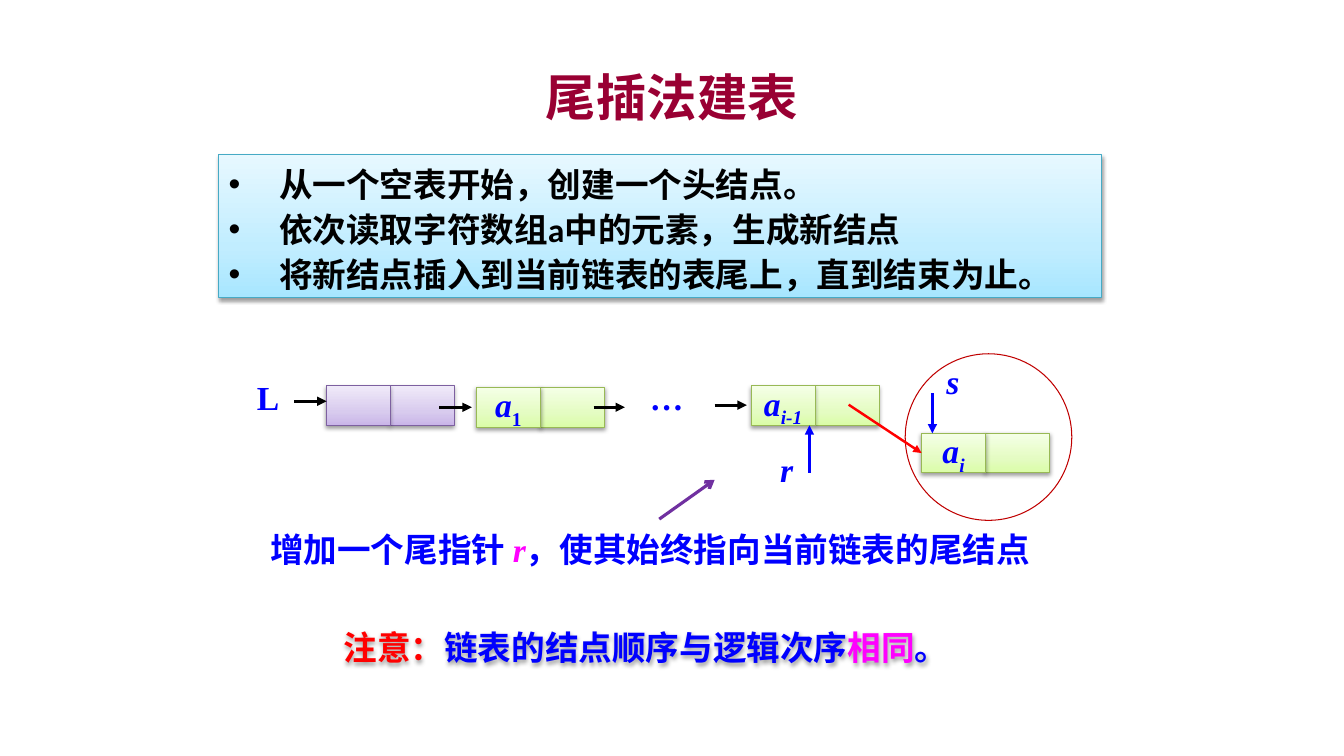
from lxml import etree
from pptx import Presentation
from pptx import util as u
from pptx.dml.color import RGBColor
from pptx.enum import shapes, text
from pptx.oxml.ns import qn

COLOURS = {
    "title": "990033", "black": "000000", "blue": "0000FF", "red": "FF0000",
    "magenta": "FF00FF", "purple": "7030A0", "ring": "C00000",
    "head_line": "7D60A0", "node_line": "98B955", "list_line": "46AAC5",
}
GRADIENTS = {
    "head": ("C9B5E8", "D8CBEE", "F0EAF9"),
    "node": ("DAFDA7", "E4FCC2", "F5FFE7"),
    "list": ("A7E6FF", "C1EDFF", "E7F8FF"),
}
STOPS = (0, 0.35, 1)
SERIF, SANS, HAN = "Times New Roman", "Calibri", "Noto Sans CJK SC"
CELL_WIDTH, CELL_HEIGHT = 45.7, 28.4


def write(paragraph, runs, font=SERIF, size=24):
    for words, colour, formats in runs:
        run = paragraph.add_run()
        run.text = words
        run.font.color.rgb = RGBColor.from_string(COLOURS[colour])
        values = {"name": font, "size": u.Pt(size), "bold": True,
                  "italic": formats.get("italic", False)}
        for name, value in values.items():
            setattr(run.font, name, value)
        properties = run._r.get_or_add_rPr()
        etree.SubElement(properties, qn("a:ea"), typeface=HAN)
        if "baseline" in formats:
            properties.set("baseline", str(formats["baseline"]))


def decorate(shape, gradient=None):
    if gradient:
        shape.fill.gradient()
        shape.fill.gradient_angle = 90
        stop_list = shape.element.spPr.find(qn("a:gradFill")).find(qn("a:gsLst"))
        etree.SubElement(stop_list, qn("a:gs"), pos="0")
        for stop, position, colour in zip(shape.fill.gradient_stops, STOPS, GRADIENTS[gradient]):
            stop.position = position
            stop.color.rgb = RGBColor.from_string(colour)
        shape.line.color.rgb = RGBColor.from_string(COLOURS[gradient + "_line"])
        shape.line.width = u.Pt(0.75)
    shape.shadow.inherit = False
    effects = shape.element.spPr.find(qn("a:effectLst"))
    shadow = etree.SubElement(effects, qn("a:outerShdw"), blurRad=str(u.Pt(3.1)),
                              dist=str(u.Pt(1.6)), dir="5400000", rotWithShape="0")
    shade = etree.SubElement(shadow, qn("a:srgbClr"), val=COLOURS["black"])
    etree.SubElement(shade, qn("a:alpha"), val="38000")


presentation = Presentation()
presentation.slide_width, presentation.slide_height = u.Pt(960), u.Pt(540)
slide = presentation.slides.add_slide(presentation.slide_layouts[1])

title, steps = slide.placeholders
for placeholder, box in ((title, (72, 41.8, 816, 54)), (steps, (156.2, 110.2, 630.7, 102.2))):
    for name, value in zip(("left", "top", "width", "height"), box):
        setattr(placeholder, name, u.Pt(value))
    placeholder.text_frame.auto_size = text.MSO_AUTO_SIZE.NONE
title.text_frame.vertical_anchor = text.MSO_ANCHOR.MIDDLE
title.text_frame.paragraphs[0].alignment = text.PP_ALIGN.CENTER
write(title.text_frame.paragraphs[0], [("尾插法建表", "title", {})], HAN, 36)

decorate(steps, "list")
for index, step in enumerate((
    "从一个空表开始，创建一个头结点。",
    "依次读取字符数组a中的元素，生成新结点",
    "将新结点插入到当前链表的表尾上，直到结束为止。",
)):
    frame = steps.text_frame
    paragraph = frame.add_paragraph() if index else frame.paragraphs[0]
    for name, value in {"line_spacing": u.Pt(32), "space_before": u.Pt(0)}.items():
        setattr(paragraph, name, value)
    properties = paragraph._p.get_or_add_pPr()
    properties.set("marL", str(u.Pt(36)))
    properties.set("indent", str(u.Pt(-36)))
    etree.SubElement(properties, qn("a:buChar"), char="•")
    write(paragraph, [(step, "black", {})], SANS)

ring = slide.shapes.add_shape(shapes.MSO_SHAPE.OVAL, u.Pt(646.6), u.Pt(252.7), u.Pt(119), u.Pt(119))
ring.fill.background()
ring.line.color.rgb = RGBColor.from_string(COLOURS["ring"])
ring.line.width = u.Pt(0.75)
ring.shadow.inherit = False

for left, top, gradient, subscript, slanted in (
    (233, 275.6, "head", None, False),
    (340.3, 276.7, "node", "1", False),
    (536.6, 275.6, "node", "i-1", True),
    (658.3, 309.4, "node", "i", True),
):
    pointer_cell, data_cell = [
        slide.shapes.add_shape(shapes.MSO_SHAPE.RECTANGLE, u.Pt(left + column * CELL_WIDTH),
                               u.Pt(top), u.Pt(CELL_WIDTH), u.Pt(CELL_HEIGHT))
        for column in (1, 0)
    ]
    for cell in (pointer_cell, data_cell):
        decorate(cell, gradient)
    if subscript:
        data_cell.text_frame.word_wrap = False
        data_cell.text_frame.vertical_anchor = text.MSO_ANCHOR.MIDDLE
        paragraph = data_cell.text_frame.paragraphs[0]
        paragraph.alignment = text.PP_ALIGN.CENTER
        write(paragraph, [("a", "blue", {"italic": True}),
                          (subscript, "blue", {"italic": slanted, "baseline": -25000})])
new_node = data_cell

for start_x, start_y, end_x, end_y, colour, width, head in (
    (210.2, 286.6, 233.3, 286.6, "black", 2.25, "triangle"),
    (313.9, 290.9, 337, 290.9, "black", 2.25, "triangle"),
    (424.1, 290.9, 446.4, 290.9, "black", 2.25, "triangle"),
    (510.5, 289.4, 533.5, 289.4, "black", 2.25, "triangle"),
    (578.2, 337.7, 578.2, 303.8, "blue", 2.25, "triangle"),
    (666, 280.8, 666, 309.6, "blue", 2.25, "triangle"),
    (470.9, 370.8, 510.5, 342.7, "purple", 2.25, "arrow"),
    (606.2, 289.1, 658.3, 323.6, "red", 1.75, "triangle"),
):
    arrow = slide.shapes.add_connector(shapes.MSO_CONNECTOR.STRAIGHT, u.Pt(start_x),
                                       u.Pt(start_y), u.Pt(end_x), u.Pt(end_y))
    arrow.line.color.rgb = RGBColor.from_string(COLOURS[colour])
    arrow.line.width = u.Pt(width)
    outline = arrow.element.spPr.find(qn("a:ln"))
    etree.SubElement(outline, qn("a:tailEnd"), type=head)
    etree.SubElement(arrow.element.spPr, qn("a:effectLst"))
arrow.end_connect(new_node, 1)

for box, font, formats, shadowed, runs in (
    ((176.4, 266, 39.6, 36), SERIF, {}, False, [("L", "blue", {})]),
    ((457.2, 266, 39.6, 36), SERIF, {}, False, [("…", "blue", {})]),
    ((668.9, 254.5, 45.4, 36), SERIF, {}, False, [("s", "blue", {"italic": True})]),
    ((550.1, 317, 45.4, 36), SERIF, {}, False, [("r", "blue", {"italic": True})]),
    ((185.8, 370.8, 588.2, 36.7), SERIF,
     {"line_spacing": u.Pt(32), "alignment": text.PP_ALIGN.JUSTIFY}, False,
     [("增加一个尾指针 ", "blue", {}), ("r", "magenta", {"italic": True}),
      ("，使其始终指向当前链表的尾结点", "blue", {})]),
    ((238.3, 444.2, 487.4, 36), HAN, {}, True,
     [("注意：", "red", {}), ("链表的结点顺序与逻辑次序", "blue", {}),
      ("相同", "magenta", {}), ("。", "blue", {})]),
):
    label = slide.shapes.add_textbox(*map(u.Pt, box))
    label.text_frame.word_wrap = True
    paragraph = label.text_frame.paragraphs[0]
    for name, value in formats.items():
        setattr(paragraph, name, value)
    write(paragraph, runs, font)
    if shadowed:
        decorate(label)

presentation.save("out.pptx")
